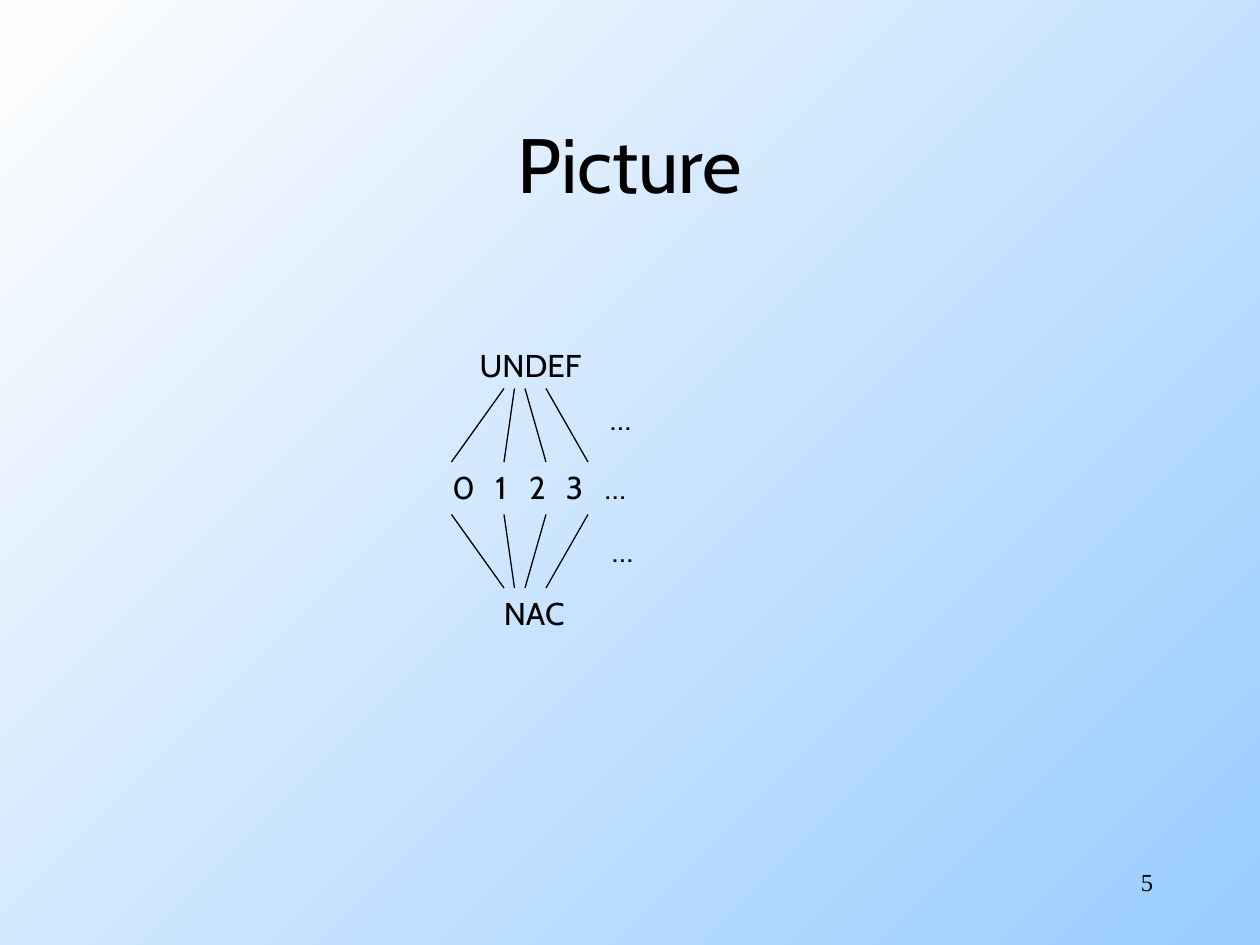
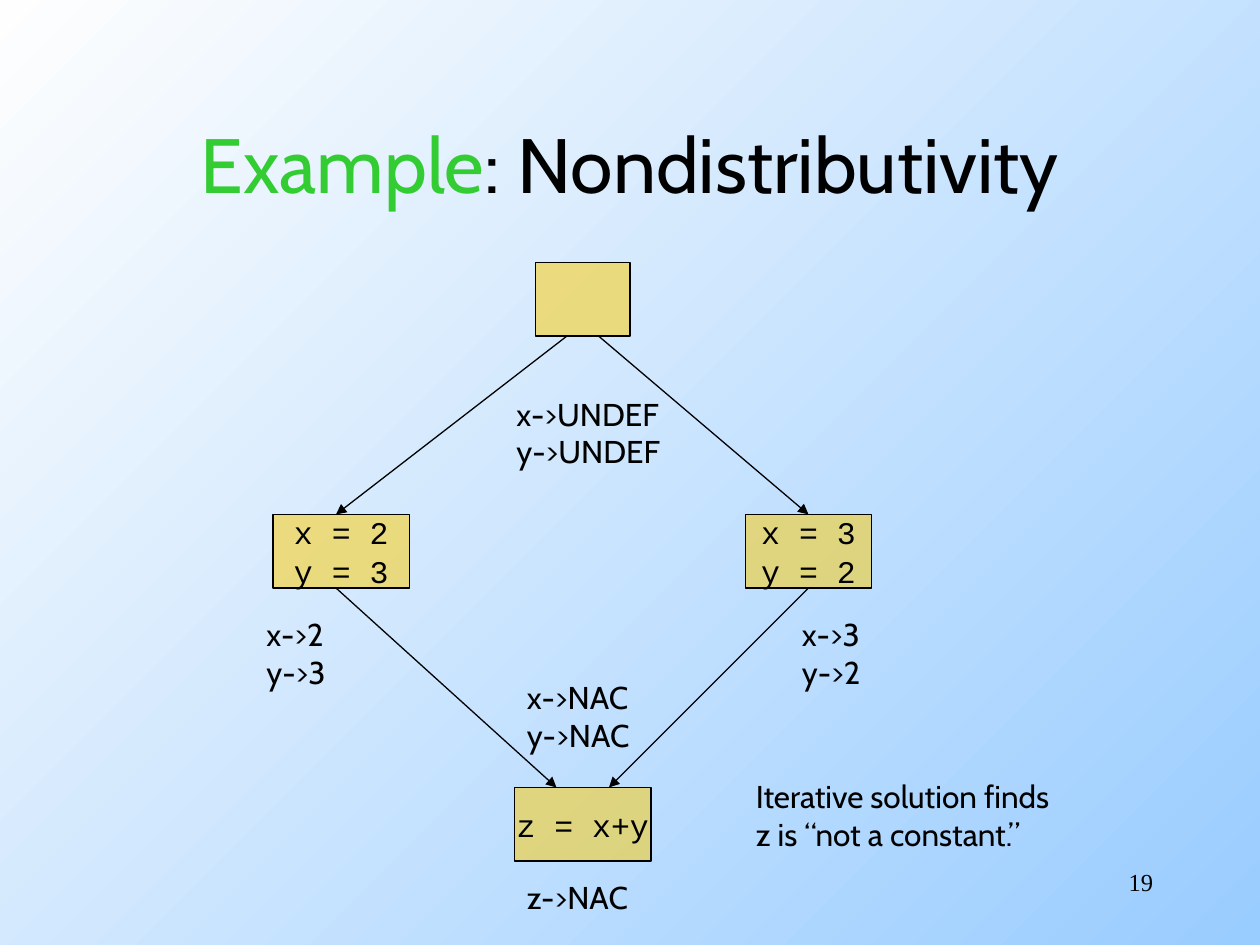
from dataclasses import dataclass

from lxml import etree
from pptx import Presentation
from pptx.dml.color import RGBColor
from pptx.enum.shapes import MSO_CONNECTOR, MSO_SHAPE
from pptx.enum.text import MSO_ANCHOR, PP_ALIGN
from pptx.oxml.ns import qn
from pptx.util import Emu, Pt

LEFT, CENTER, RIGHT = PP_ALIGN.LEFT, PP_ALIGN.CENTER, PP_ALIGN.RIGHT
TOP, MIDDLE = MSO_ANCHOR.TOP, MSO_ANCHOR.MIDDLE
RECTANGLE = MSO_SHAPE.RECTANGLE
STRAIGHT = MSO_CONNECTOR.STRAIGHT
EMU_PER_PX = 7620
BLANK = 6


@dataclass(frozen=True)
class Theme:
    ink: str = "000000"
    accent: str = "33CC33"
    block: str = "FFCC00"
    block_alpha: int = 50000
    bg_from: str = "99CCFF"
    bg_to: str = "FEFEFE"
    bg_angle: int = 135
    sans: str = "Cabin"
    mono: str = "Courier New"
    serif: str = "Times New Roman"
    title_size: int = 44
    body_size: int = 18
    number_size: int = 14
    code_leading: float = 21.8
    line_width: float = 0.75


THEME = Theme()


def px(length):
    return Emu(length * EMU_PER_PX)


def rgb(code):
    return RGBColor.from_string(code)


def write(frame, lines, font=THEME.sans, size=THEME.body_size, align=LEFT,
          anchor=TOP, wrap=False, leading=None, tabs=()):
    frame.word_wrap = wrap
    frame.vertical_anchor = anchor
    for index, line in enumerate(lines):
        paragraph = frame.paragraphs[0] if index == 0 else frame.add_paragraph()
        paragraph.alignment = align
        if leading:
            paragraph.line_spacing = Pt(leading)
        if tabs:
            stops = etree.SubElement(paragraph._p.get_or_add_pPr(), qn("a:tabLst"))
            for stop in tabs:
                etree.SubElement(stops, qn("a:tab"), pos=str(px(stop)), algn="l")
        runs = [(line, THEME.ink)] if isinstance(line, str) else line
        for text, color in runs:
            run = paragraph.add_run()
            run.text = text
            run.font.name = font
            run.font.size = Pt(size)
            run.font.color.rgb = rgb(color)


def add_text(slide, box, *lines, **style):
    frame = slide.shapes.add_textbox(*map(px, box)).text_frame
    write(frame, lines, **style)


def add_block(slide, box, *code):
    block = slide.shapes.add_shape(RECTANGLE, *map(px, box))
    block.shadow.inherit = False
    block.fill.solid()
    block.fill.fore_color.rgb = rgb(THEME.block)
    tint = block._element.spPr.find(f"{qn('a:solidFill')}/{qn('a:srgbClr')}")
    etree.SubElement(tint, qn("a:alpha"), val=str(THEME.block_alpha))
    block.line.color.rgb = rgb(THEME.ink)
    block.line.width = Pt(THEME.line_width)
    write(block.text_frame, code, font=THEME.mono, align=CENTER, anchor=MIDDLE,
          leading=THEME.code_leading)


def add_line(slide, start, end, arrow=False):
    edge = slide.shapes.add_connector(STRAIGHT, *map(px, (*start, *end)))
    edge.line.color.rgb = rgb(THEME.ink)
    edge.line.width = Pt(THEME.line_width)
    if arrow:
        etree.SubElement(edge.line._get_or_add_ln(), qn("a:tailEnd"), type="triangle")
    etree.SubElement(edge._element.spPr, qn("a:effectLst"))


def add_slide(deck, title, number):
    slide = deck.slides.add_slide(deck.slide_layouts[BLANK])
    background = slide.background.fill
    background.gradient()
    background.gradient_angle = THEME.bg_angle
    for stop, color in zip(background.gradient_stops, (THEME.bg_from, THEME.bg_to)):
        stop.color.rgb = rgb(color)
    add_text(slide, (90, 80, 1020, 150), title, size=THEME.title_size,
             align=CENTER, anchor=MIDDLE, wrap=True)
    add_text(slide, (860, 820, 250, 60), number, font=THEME.serif,
             size=THEME.number_size, align=RIGHT, wrap=True)
    return slide


def build_lattice(deck):
    slide = add_slide(deck, "Picture", "5")
    add_text(slide, (445, 324, 122, 48), "UNDEF")
    add_text(slide, (419, 440, 210, 48), "0\t1\t2\t3\t…", wrap=True,
             tabs=(41, 73, 108, 145))
    add_text(slide, (468, 560, 85, 48), "NAC")
    for hub_y, constant_y in ((560, 490), (370, 440)):
        for hub_x, constant_x in ((480, 430), (490, 480), (500, 520), (520, 560)):
            add_line(slide, (hub_x, hub_y), (constant_x, constant_y))
    add_text(slide, (569, 374, 48, 48), "…")
    add_text(slide, (571, 500, 48, 48), "…")


def build_flow_graph(deck):
    title = (("Example", THEME.accent), (": Nondistributivity", THEME.ink))
    slide = add_slide(deck, title, "19")

    add_block(slide, (510, 250, 90, 70))
    add_block(slide, (710, 490, 120, 70), "x = 3", "y = 2")
    add_block(slide, (260, 490, 130, 70), "x = 2", "y = 3")
    add_block(slide, (490, 750, 130, 70), "z = x+y")

    for start, end in (((540, 320), (320, 490)), ((570, 320), (770, 490)),
                       ((320, 560), (530, 750)), ((770, 560), (580, 750))):
        add_line(slide, start, end, arrow=True)

    add_text(slide, (480, 370, 165, 84), "x->UNDEF", "y->UNDEF")
    add_text(slide, (242, 580, 84, 84), "x->2", "y->3")
    add_text(slide, (752, 580, 84, 84), "x->3", "y->2")
    add_text(slide, (490, 640, 127, 84), "x->NAC", "y->NAC")
    add_text(slide, (490, 830, 126, 48), "z->NAC")
    add_text(slide, (708, 734, 341, 84),
             "Iterative solution finds", "z is “not a constant.”")


def main():
    deck = Presentation()
    deck.slide_width, deck.slide_height = px(1200), px(900)
    build_lattice(deck)
    build_flow_graph(deck)
    deck.save("out.pptx")


if __name__ == "__main__":
    main()
